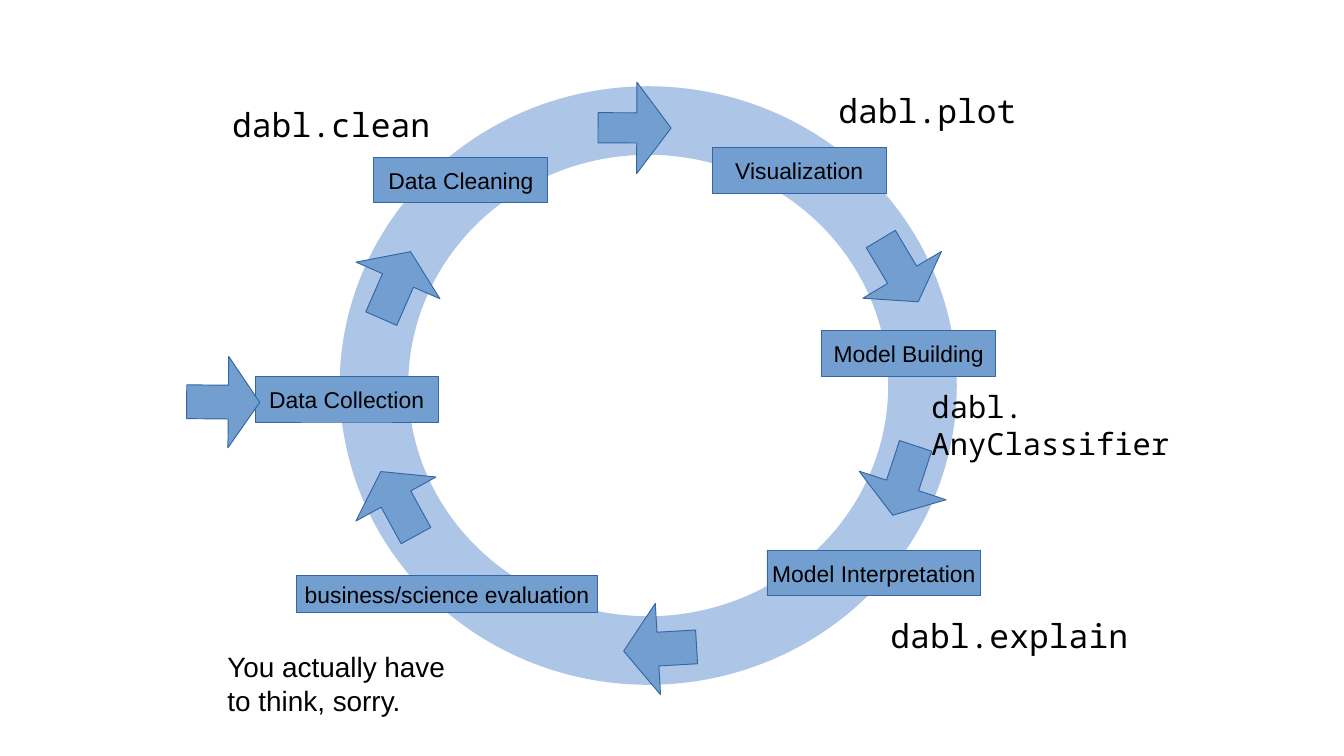
"""Build a slide showing the machine learning workflow as a cycle of stages."""
from pptx import Presentation
from pptx.dml.color import RGBColor
from pptx.enum.shapes import MSO_SHAPE as Preset
from pptx.enum.text import MSO_ANCHOR as Anchor, PP_ALIGN as Align
from pptx.util import Cm, Pt

RING_BLUE = RGBColor(0xAD, 0xC5, 0xE7)
STAGE_BLUE = RGBColor(0x72, 0x9F, 0xCF)
EDGE_BLUE = RGBColor(0x34, 0x65, 0xA4)
BLACK = RGBColor(0, 0, 0)
SANS, MONO = "Arial", "Noto Sans Mono"


def add_blue_shape(preset, left, top, width, height):
    shape = slide.shapes.add_shape(preset, Cm(left), Cm(top), Cm(width), Cm(height))
    shape.shadow.inherit = False
    shape.fill.solid()
    shape.fill.fore_color.rgb = STAGE_BLUE
    shape.line.color.rgb = EDGE_BLUE
    shape.line.width = Pt(0.75)
    return shape


def write(frame, text, font_name, size):
    paragraph = frame.paragraphs[0]
    paragraph.text = text
    paragraph.font.name = font_name
    paragraph.font.size = Pt(size)
    paragraph.font.color.rgb = BLACK
    return paragraph


deck = Presentation()
deck.slide_width, deck.slide_height = Cm(37.34), Cm(21.01)
slide = deck.slides.add_slide(deck.slide_layouts[6])

ring = add_blue_shape(Preset.OVAL, 10.39, 3.35, 15.24, 14.73)
ring.fill.background()
ring.line.color.rgb = RING_BLUE
ring.line.width = Pt(54)

stages = [
    ("Data Collection", 7.09, 10.46, 5.08, 1.27),
    ("Data Cleaning", 10.39, 4.37, 4.83, 1.27),
    ("Visualization", 19.79, 4.11, 4.83, 1.27),
    ("Model Building", 22.83, 9.19, 4.83, 1.27),
    ("Model Interpretation", 21.31, 15.29, 5.94, 1.27),
    ("business/science evaluation", 8.23, 16, 8.38, 1.02),
]
for name, *box in stages:
    stage = add_blue_shape(Preset.RECTANGLE, *box)
    stage.text_frame.word_wrap = False
    stage.text_frame.vertical_anchor = Anchor.MIDDLE
    write(stage.text_frame, name, SANS, 18).alignment = Align.CENTER

arrows = [
    (9.73, 6.91, 23.6, 0.37, 0.43),
    (17.07, 17.02, 266.7, 0.37, 0.47),
    (23.72, 6.5, 149.2, 0.37, 0.43),
    (9.8, 12.98, 331.2, 0.37, 0.43),
    (4.93, 10.16, 90.5, 0.37, 0.43),
    (23.85, 12.34, 198.2, 0.37, 0.43),
    (16.36, 2.54, 90.2, 0.33, 0.47),
]
for left, top, angle, shaft_width, head_length in arrows:
    arrow = add_blue_shape(Preset.UP_ARROW, left, top, 2.54, 2.03)
    arrow.rotation = angle
    arrow.adjustments[0] = shaft_width
    arrow.adjustments[1] = head_length

annotations = [
    ("dabl.clean", MONO, 26, 6.2, 2.79, 6.05, 1.09),
    ("dabl.plot", MONO, 26, 23.04, 2.39, 6.53, 1.93),
    ("dabl.\vAnyClassifier", MONO, 24, 25.63, 10.67, 8.28, 2.97),
    ("dabl.explain", MONO, 26, 24.49, 16.99, 7.92, 2.06),
    ("You actually have to think, sorry.", SANS, 22, 6.07, 17.93, 7.37, 2.39),
]
for text, font_name, size, *box in annotations:
    annotation = slide.shapes.add_textbox(*map(Cm, box))
    annotation.text_frame.word_wrap = True
    write(annotation.text_frame, text, font_name, size)

deck.save("out.pptx")
